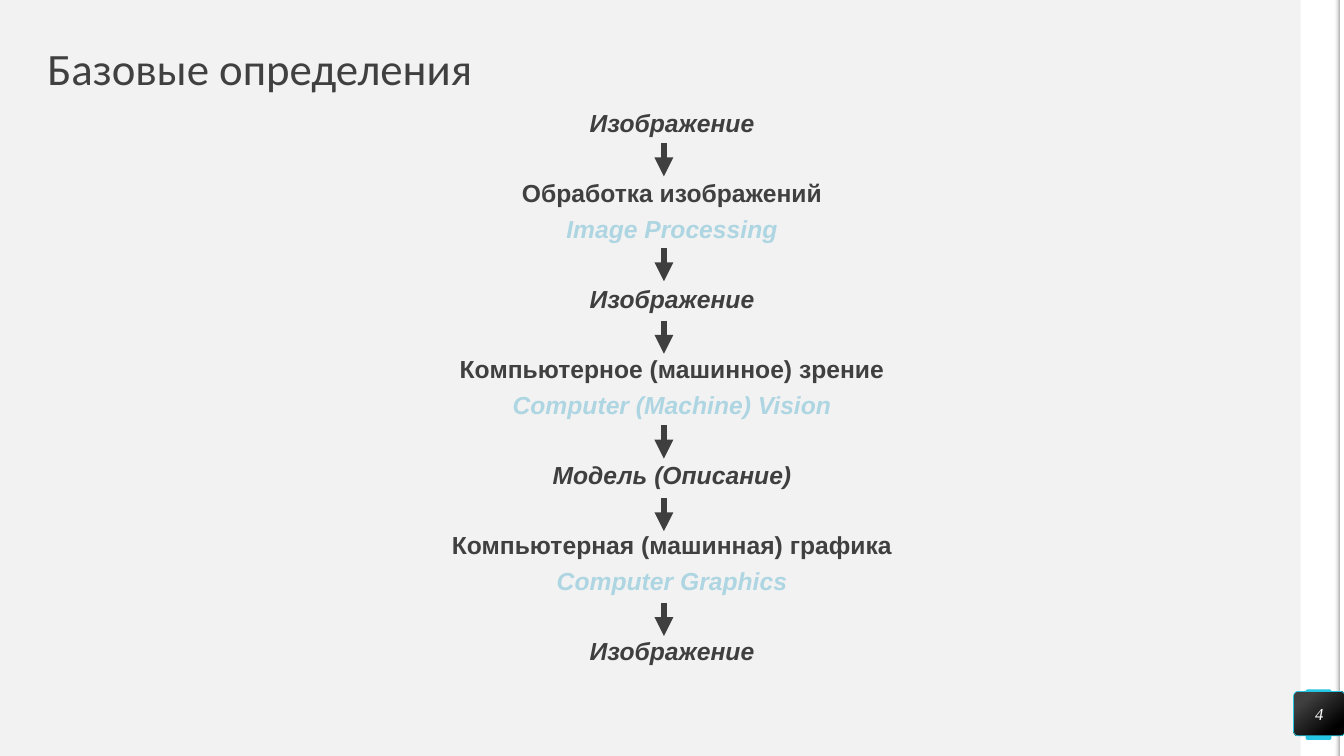
from lxml.etree import SubElement
from pptx import Presentation
from pptx.dml.color import RGBColor
from pptx.enum.shapes import MSO_CONNECTOR, MSO_SHAPE
from pptx.enum.text import MSO_ANCHOR, PP_ALIGN
from pptx.oxml.ns import qn
from pptx.util import Inches, Pt

WIDE, HIGH = 13.33, 7.5
DARK, GREY, PALE, CYAN = "3F3F3F", "404040", "AED6E2", "25C6E3"
BACK, WHITE, BLACK, SHADE = "F2F2F2", "FFFFFF", "000000", "A6A6A6"

# Each step: a state, then a field of study with its English name
STATES = ["Изображение", "Изображение", "Модель (Описание)", "Изображение"]
FIELDS = [
    ("Обработка изображений", "Image Processing"),
    ("Компьютерное (машинное) зрение", "Computer (Machine) Vision"),
    ("Компьютерная (машинная) графика", "Computer Graphics"),
]
ROW = 24.8   # pitch of the text rows, points
LEAD = 10.6  # space before a row, points


def hue(code):
    return RGBColor.from_string(code)


def place(box):
    return [Inches(v) for v in box]


def write(frame, text, size=17.6, font="Arial", color=DARK, bold=False,
          slant=False, align=PP_ALIGN.CENTER, line=1.0, before=0, new=False):
    par = frame.add_paragraph() if new else frame.paragraphs[0]
    par.alignment, par.line_spacing, par.space_before = align, line, Pt(before)
    run = par.add_run()
    run.text = text
    face = run.font
    face.name, face.size, face.bold, face.italic = font, Pt(size), bold, slant
    face.color.rgb = hue(color)


def setup(frame, anchor):
    frame.word_wrap = True
    frame.vertical_anchor = anchor
    frame.margin_left = frame.margin_right = 0
    frame.margin_top = frame.margin_bottom = 0
    return frame


def panel(slide, box, color=None, kind=MSO_SHAPE.RECTANGLE, bend=None):
    item = slide.shapes.add_shape(kind, *place(box))
    item.shadow.inherit = False
    item.line.fill.background()
    if color:
        item.fill.solid()
        item.fill.fore_color.rgb = hue(color)
    if bend is not None:
        item.adjustments[0] = bend
    return item


def blend(item, stops, angle):
    item.fill.gradient()
    item.fill.gradient_angle = angle
    for stop, (spot, color) in zip(item.fill.gradient_stops, stops):
        stop.position = spot
        stop.color.rgb = hue(color)


def edge(slide, left, wide):
    """White strip and shaded rim on the right side of the slide."""
    panel(slide, (left, 0, wide, HIGH), WHITE)
    rim = 0.05
    panel(slide, (left + wide, 0, rim, HIGH), WHITE)
    shade = panel(slide, (left + wide - rim, 0, rim, HIGH))
    blend(shade, [(0, BACK), (1, SHADE)], 0)
    clear = shade._element.xpath(".//a:gs[1]/a:srgbClr")[0]
    SubElement(clear, qn("a:alpha"), val="0")


def badge(slide, box, number):
    """Page number on a dark tile with a bright tab behind it."""
    left, top, wide, high = box
    tab = MSO_SHAPE.ROUNDED_RECTANGLE
    panel(slide, (left + 0.12, top - 0.02, wide / 2, high + 0.06),
          CYAN, tab, 0.07)
    tile = panel(slide, box, kind=tab, bend=0.1)
    blend(tile, [(0.2, GREY), (0.82, BLACK)], 310)
    tile.line.color.rgb = hue(CYAN)
    tile.line.width = Pt(0.5)
    write(setup(tile.text_frame, MSO_ANCHOR.MIDDLE), number, size=12,
          font="Times New Roman", color=WHITE, slant=True)


def title(slide, box, text):
    frame = slide.shapes.add_textbox(*place(box)).text_frame
    write(setup(frame, MSO_ANCHOR.MIDDLE), text, size=32, font="Calibri",
          color=GREY, align=PP_ALIGN.LEFT, line=0.9)


def arrow(slide, x, top, high):
    link = slide.shapes.add_connector(
        MSO_CONNECTOR.STRAIGHT, *place((x, top, x, top + high)))
    link.line.color.rgb = hue(DARK)
    link.line.width = Pt(4.5)
    SubElement(link.line._get_or_add_ln(), qn("a:tailEnd"), type="triangle")
    SubElement(link._element.spPr, qn("a:effectLst"))


def chain(slide, box):
    """Centred chain of terms; an arrow fills each free row."""
    left, top, wide, high = box
    frame = slide.shapes.add_textbox(*place(box)).text_frame
    setup(frame, MSO_ANCHOR.TOP)
    look = dict(bold=True, line=0.7)
    gap = LEAD + ROW
    write(frame, STATES[0], slant=True, **look)
    for (name, term), state in zip(FIELDS, STATES[1:]):
        write(frame, name, color=GREY, before=gap, new=True, **look)
        write(frame, term, color=PALE, slant=True, before=LEAD, new=True,
              **look)
        write(frame, state, slant=True, before=gap, new=True, **look)
    for step in range(len(FIELDS)):
        for drop in (0, 1.04):
            arrow(slide, left + wide / 2 - 0.08,
                  top + 0.27 + 1.76 * step + drop, 0.33)


def main():
    deck = Presentation()
    deck.slide_width, deck.slide_height = Inches(WIDE), Inches(HIGH)
    slide = deck.slides.add_slide(deck.slide_layouts[6])
    slide.background.fill.solid()
    slide.background.fill.fore_color.rgb = hue(BACK)

    edge(slide, 12.9, 0.39)
    title(slide, (0.47, 0.47, 12.39, 0.47), "Базовые определения")
    badge(slide, (12.83, 6.86, 0.51, 0.44), "4")
    chain(slide, (0.47, 1.15, 12.39, 5.62))
    deck.save("out.pptx")


if __name__ == "__main__":
    main()
